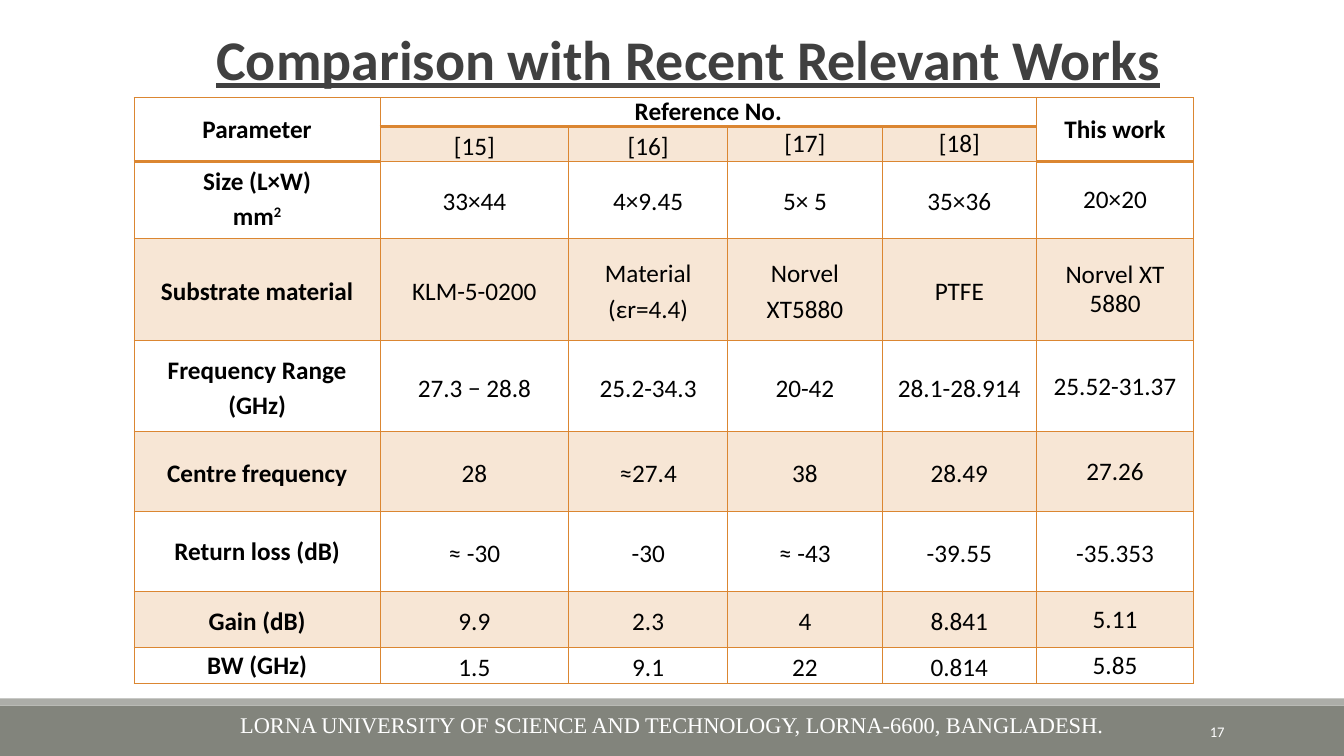
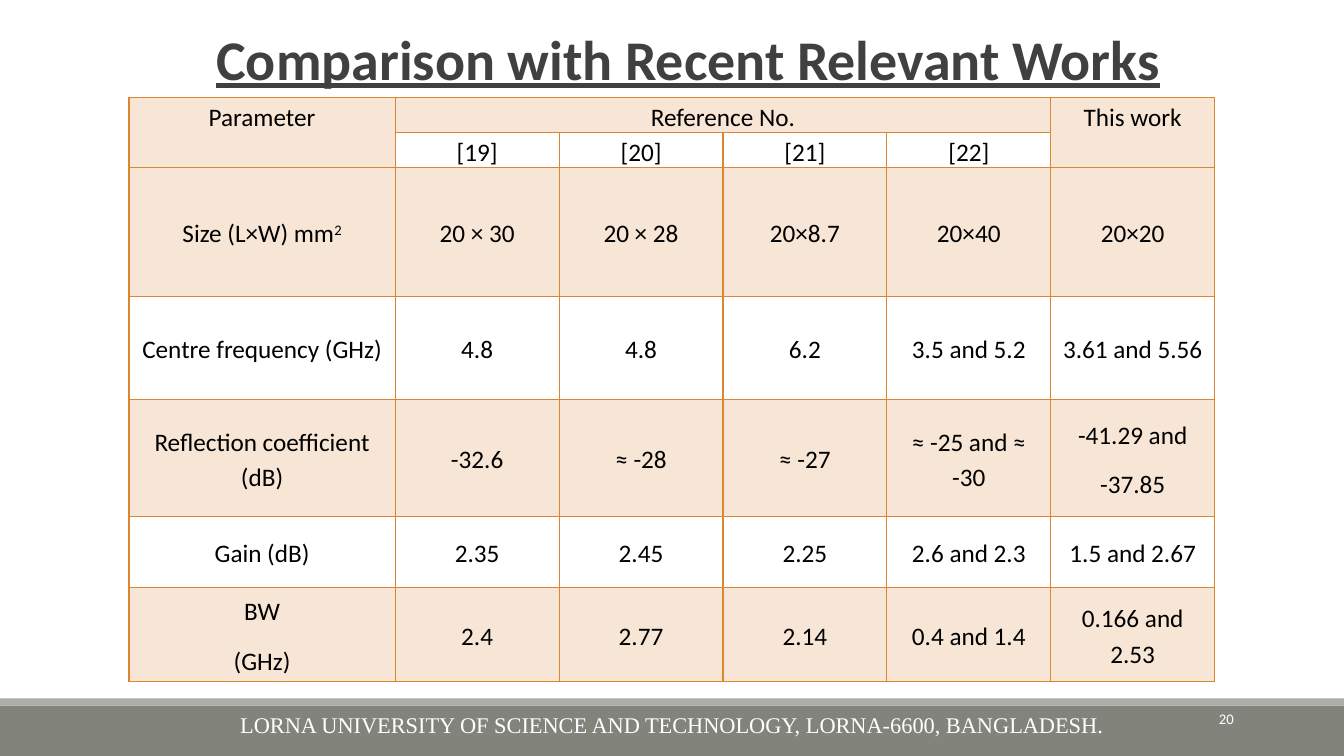
from dataclasses import dataclass
from itertools import product

from lxml.etree import SubElement
from pptx import Presentation
from pptx.dml.color import RGBColor
from pptx.enum.shapes import MSO_SHAPE
from pptx.enum.text import MSO_ANCHOR, MSO_AUTO_SIZE, PP_ALIGN
from pptx.oxml.ns import qn
from pptx.util import Cm, Pt


@dataclass(frozen=True)
class Theme:
    """Colours, fonts and type sizes of the deck."""
    band: str = "82847C"
    strip: str = "ACADA8"
    title: str = "404040"
    text: str = "000000"
    light: str = "FFFFFF"
    accent: str = "DB8631"
    tint: int = 20
    body_font: str = "Calibri"
    footer_font: str = "Times New Roman"
    title_size: float = 40
    cell_size: float = 18
    footer_size: float = 16
    number_size: float = 10.5


TITLE = "Comparison with Recent Relevant Works"
FOOTER = "LORNA UNIVERSITY OF SCIENCE AND TECHNOLOGY, LORNA-6600, BANGLADESH."
WIDTH, HEIGHT = 33.87, 19.05

MM_WAVE = [
    ["Parameter", "Reference No.", "", "", "", "This work"],
    ["", "[15]", "[16]", "[17]", "[18]", ""],
    ["Size (L×W)\nmm^2", "33×44", "4×9.45", "5× 5", "35×36", "20×20"],
    ["Substrate material", "KLM-5-0200", "Material (εr=4.4)", "Norvel XT5880", "PTFE",
     "Norvel XT 5880"],
    ["Frequency Range (GHz)", "27.3 − 28.8", "25.2-34.3", "20-42", "28.1-28.914",
     "25.52-31.37"],
    ["Centre frequency", "28", "≈27.4", "38", "28.49", "27.26"],
    ["Return loss (dB)", "≈ -30", "-30", "≈ -43", "-39.55", "-35.353"],
    ["Gain (dB)", "9.9", "2.3", "4", "8.841", "5.11"],
    ["BW (GHz)", "1.5", "9.1", "22", "0.814", "5.85"],
]
MM_WAVE_TIGHT = {(0, 0), (0, 1), (1, 3), (1, 4), (2, 0), (6, 0), (8, 0),
                 *((row, 5) for row in (0, 2, 3, 4, 5, 7, 8))}

SUB_6 = [
    ["Parameter", "Reference No.", "", "", "", "This work"],
    ["", "[19]", "[20]", "[21]", "[22]", ""],
    ["Size (L×W) mm^2", "20 × 30", "20 × 28", "20×8.7", "20×40", "20×20"],
    ["Centre frequency (GHz)", "4.8", "4.8", "6.2", "3.5 and 5.2", "3.61 and 5.56"],
    ["Reflection coefficient (dB)", "-32.6", "≈ -28", "≈ -27", "≈ -25 and ≈ -30",
     "-41.29 and\n-37.85"],
    ["Gain (dB)", "2.35", "2.45", "2.25", "2.6 and 2.3", "1.5 and 2.67"],
    ["BW\n(GHz)", "2.4", "2.77", "2.14", "0.4 and 1.4", "0.166 and 2.53"],
]


class Deck:
    """Holds the theme, the presentation and the current slide."""

    def __init__(self, theme):
        """Start an empty widescreen presentation."""
        self.theme = theme
        self.prs = Presentation()
        self.prs.slide_width, self.prs.slide_height = Cm(WIDTH), Cm(HEIGHT)

    def style(self, p, size, color, font=None, bold=False, align=PP_ALIGN.CENTER):
        """Format one paragraph."""
        p.alignment = align
        p.font.size, p.font.bold = Pt(size), bold
        p.font.name = font or self.theme.body_font
        p.font.color.rgb = RGBColor.from_string(color)

    def slide(self, number, number_left, number_top):
        """Add a slide with title, bands, footer and number."""
        t = self.theme
        self.s = self.prs.slides.add_slide(self.prs.slide_layouts[5])
        self.band(17.78, 1.27, t.band)
        self.band(17.6, 0.18, t.strip)
        self.title(TITLE)
        p = self.label(FOOTER, 0, 17.15, WIDTH, 1.9)
        p.line_spacing = 1.5
        self.style(p, t.footer_size, t.light, t.footer_font)
        p = self.label(number, number_left, number_top, 3.63, 1.02)
        self.style(p, t.number_size, t.light, align=PP_ALIGN.RIGHT)

    def band(self, top, height, color):
        """Draw a full-width band."""
        sp = self.s.shapes.add_shape(MSO_SHAPE.RECTANGLE, 0, Cm(top), Cm(WIDTH), Cm(height))
        sp.shadow.inherit = False
        sp.fill.solid()
        sp.fill.fore_color.rgb = RGBColor.from_string(color)
        sp.line.fill.background()

    def title(self, text):
        """Place and format the title placeholder."""
        sp = self.s.shapes.title
        sp.left, sp.top, sp.width, sp.height = Cm(2.06), Cm(0.48), Cm(30.56), Cm(1.96)
        tf = sp.text_frame
        tf.text = text
        tf.auto_size = MSO_AUTO_SIZE.NONE
        tf.vertical_anchor = MSO_ANCHOR.TOP
        p = tf.paragraphs[0]
        self.style(p, self.theme.title_size, self.theme.title, bold=True)
        p.font.underline = True

    def label(self, text, left, top, width, height):
        """Add a text box and return its paragraph."""
        sp = self.s.shapes.add_textbox(Cm(left), Cm(top), Cm(width), Cm(height))
        tf = sp.text_frame
        tf.word_wrap = True
        tf.vertical_anchor = MSO_ANCHOR.MIDDLE
        tf.text = text
        return tf.paragraphs[0]

    def table(self, rows, left, widths, heights, inset, shaded, tight=(),
              bold_heads=False, top_rows=0, head_line=1):
        """Add a comparison table; shaded is the parity of the tinted rows."""
        frame = self.s.shapes.add_table(len(rows), len(widths), Cm(left), Cm(2.46),
                                        Cm(sum(widths)), Cm(sum(heights)))
        tbl = frame.table
        tbl.first_row = tbl.horz_banding = False
        for col, width in zip(tbl.columns, widths):
            col.width = Cm(width)
        for row, height in zip(tbl.rows, heights):
            row.height = Cm(height)
        for r, c in product(range(len(rows)), range(len(widths))):
            cell = tbl.cell(r, c)
            cell.margin_left = cell.margin_right = Cm(inset)
            cell.margin_top = cell.margin_bottom = 0
            cell.vertical_anchor = MSO_ANCHOR.TOP if r < top_rows else MSO_ANCHOR.MIDDLE
            self.borders(cell, head_line if r == 0 else 1)
            self.tint(cell, r % 2 == shaded)
            if rows[r][c]:
                bold = bold_heads and (r == 0 or c == 0)
                self.cell_text(cell, rows[r][c], bold, (r, c) in tight)
        for first, last in (((0, 0), (1, 0)), ((0, 1), (0, 4)), ((0, 5), (1, 5))):
            tbl.cell(*first).merge(tbl.cell(*last))

    def cell_text(self, cell, text, bold, tight):
        """Write cell paragraphs; a caret starts a superscript."""
        tf = cell.text_frame
        for i, line in enumerate(text.split("\n")):
            p = tf.add_paragraph() if i else tf.paragraphs[0]
            self.style(p, self.theme.cell_size, self.theme.text, bold=bold)
            snug = tight and i == 0
            p.line_spacing = 0.95 if snug else 1.15
            p.space_after = Pt(0 if snug else 10)
            base, _, power = line.partition("^")
            p.add_run().text = base
            if power:
                r = p.add_run()
                r.text = power
                r.font._element.set("baseline", "30000")

    def borders(self, cell, bottom):
        """Outline a cell in the accent colour."""
        tcPr = cell._tc.get_or_add_tcPr()
        for side, width in zip("LRTB", (1, 1, 1, bottom)):
            ln = SubElement(tcPr, qn(f"a:ln{side}"), w=str(Pt(width)))
            fill = SubElement(ln, qn("a:solidFill"))
            SubElement(fill, qn("a:srgbClr"), val=self.theme.accent)

    def tint(self, cell, shaded):
        """Fill a cell with the transparent accent, or leave it clear."""
        if not shaded:
            cell.fill.background()
            return
        cell.fill.solid()
        cell.fill.fore_color.rgb = RGBColor.from_string(self.theme.accent)
        clr = cell._tc.tcPr.find(qn("a:solidFill")).find(qn("a:srgbClr"))
        SubElement(clr, qn("a:alpha"), val=str(self.theme.tint * 1000))


def main():
    """Build and save the deck."""
    deck = Deck(Theme())
    deck.slide("17", 27.48, 17.93)
    deck.table(MM_WAVE, 3.38, [6.2, 4.75, 4.01, 3.89, 3.89, 3.96],
               [0.73, 0.88, 1.93, 2.59, 2.29, 2.01, 2.01, 1.42, 0.91], 0.15,
               shaded=1, tight=MM_WAVE_TIGHT, bold_heads=True, head_line=2)
    deck.slide("20", 27.71, 17.6)
    deck.table(SUB_6, 3.25, [6.71] + [4.13] * 5,
               [0.88, 0.88, 3.25, 2.59, 2.95, 1.8, 2.36], 0.18,
               shaded=0, top_rows=2)
    deck.prs.save("out.pptx")


if __name__ == "__main__":
    main()
